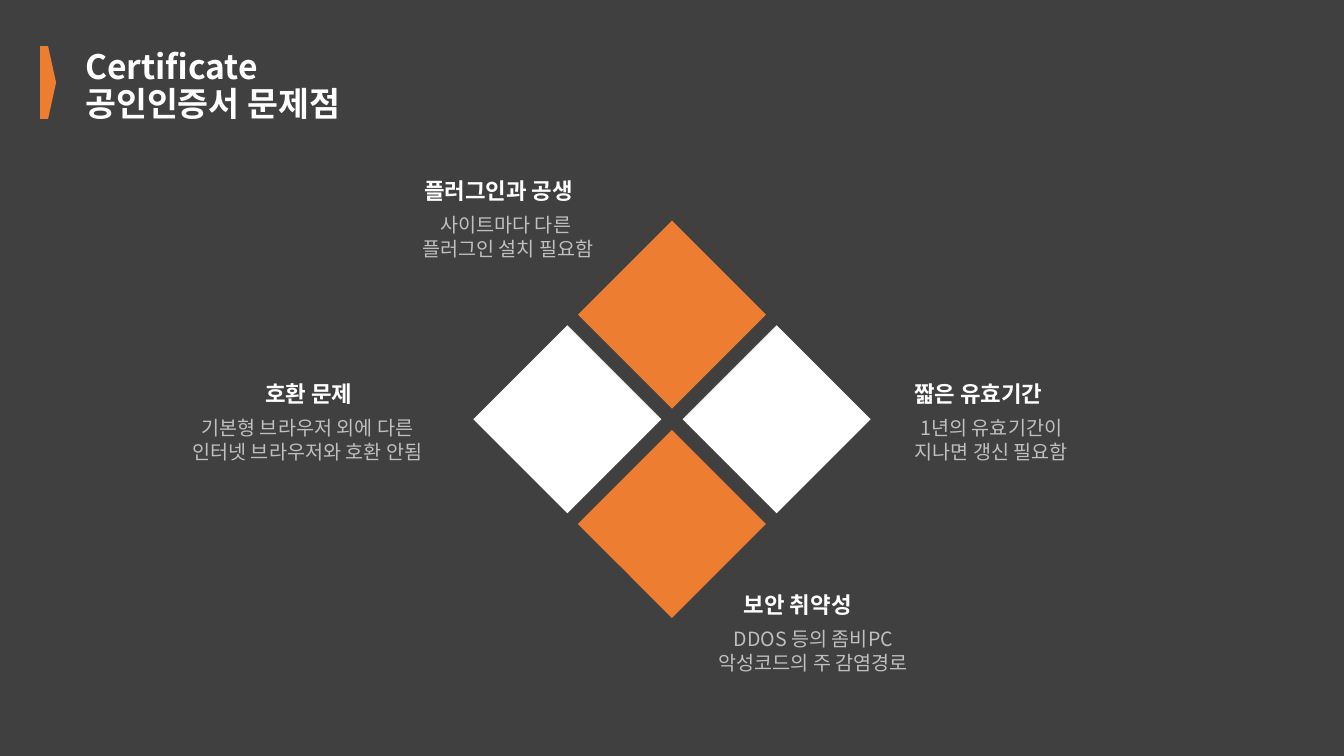
from lxml.etree import SubElement
from pptx import Presentation
from pptx.dml.color import RGBColor
from pptx.enum.shapes import MSO_SHAPE
from pptx.enum.text import MSO_ANCHOR, PP_ALIGN
from pptx.oxml.ns import qn
from pptx.util import Pt

FONT = "Noto Sans CJK KR"
DARK, ORANGE, WHITE, GREY = "404040", "ED7D31", "FFFFFF", "BFBFBF"
WIDTH, HEIGHT = 960, 540


def color(hex_value):
    """Turn a hex string into a colour."""
    return RGBColor.from_string(hex_value)


def add_block(shapes, kind, box, fill, rotation=0):
    """Add a plain filled shape without outline or shadow."""
    block = shapes.add_shape(kind, *map(Pt, box))
    block.rotation = rotation
    block.shadow.inherit = False
    block.fill.solid()
    block.fill.fore_color.rgb = color(fill)
    block.line.fill.background()


def add_text(slide, box, text, size=14, fill=WHITE, bold=False, align=PP_ALIGN.LEFT):
    """Add an unwrapped text box with one paragraph per line of text."""
    frame = slide.shapes.add_textbox(*map(Pt, box)).text_frame
    frame.word_wrap = False
    frame.vertical_anchor = MSO_ANCHOR.TOP
    frame.text = text
    for paragraph in frame.paragraphs:
        paragraph.alignment = align
        for run in paragraph.runs:
            run.font.name = FONT
            run.font.size = Pt(size)
            run.font.bold = bold
            run.font.color.rgb = color(fill)
            SubElement(run.font._element, qn("a:ea"), typeface=FONT)


def add_title(slide, left, top):
    """Place the arrow marker and the two title lines."""
    add_block(slide.shapes, MSO_SHAPE.PENTAGON, (left, top, 11.5, 52), ORANGE)
    add_text(slide, (left + 25.2, top - 3.6, 139, 36), "Certificate", size=24, bold=True)
    add_text(slide, (left + 25.2, top + 22.4, 217, 36), "공인인증서 문제점", size=24, bold=True)


def add_diamonds(slide, center_x, center_y, side=95, offset=74.8):
    """Place four turned squares around a centre."""
    diamonds = slide.shapes.add_group_shape().shapes
    for dx, dy, fill in ((0, -1, ORANGE), (-1, 0, WHITE), (1, 0, WHITE), (0, 1, ORANGE)):
        left = center_x + dx * offset - side / 2
        top = center_y + dy * offset - side / 2
        add_block(diamonds, MSO_SHAPE.RECTANGLE, (left, top, side, side), fill, rotation=45)


def add_problem(slide, box, heading, heading_box, detail):
    """Place a heading, given as indent and width, above its detail lines."""
    left, top, width = box
    indent, heading_width = heading_box
    add_text(slide, (left + indent, top, heading_width, 26.6), heading, size=16, bold=True)
    add_text(slide, (left, top + 25.5, width, 41.2), detail, fill=GREY, align=PP_ALIGN.CENTER)


def main():
    """Build the slide and save it."""
    deck = Presentation()
    deck.slide_width, deck.slide_height = Pt(WIDTH), Pt(HEIGHT)
    slide = deck.slides.add_slide(deck.slide_layouts[6])
    add_block(slide.shapes, MSO_SHAPE.RECTANGLE, (0, 0, WIDTH, HEIGHT), DARK)
    add_diamonds(slide, WIDTH / 2, 299.5)
    add_title(slide, 28.6, 33)
    problems = (
        ((289.4, 123, 147), "플러그인과 공생", (6.5, 128), "사이트마다 다른 \n플러그인 설치 필요함"),
        ((117.4, 268.3, 204.5), "호환 문제", (64.8, 85), "기본형 브라우저 외에 다른\n인터넷 브라우저와 호환 안됨"),
        ((639.4, 268.3, 137.5), "짧은 유효기간", (6.5, 117.4), "1년의 유효기간이\n지나면 갱신 필요함"),
        ((498.2, 418.8, 165.6), "보안 취약성", (26, 101), "DDOS 등의 좀비PC\n악성코드의 주 감염경로"),
    )
    for box, heading, heading_box, detail in problems:
        add_problem(slide, box, heading, heading_box, detail)
    deck.save("out.pptx")


if __name__ == "__main__":
    main()
